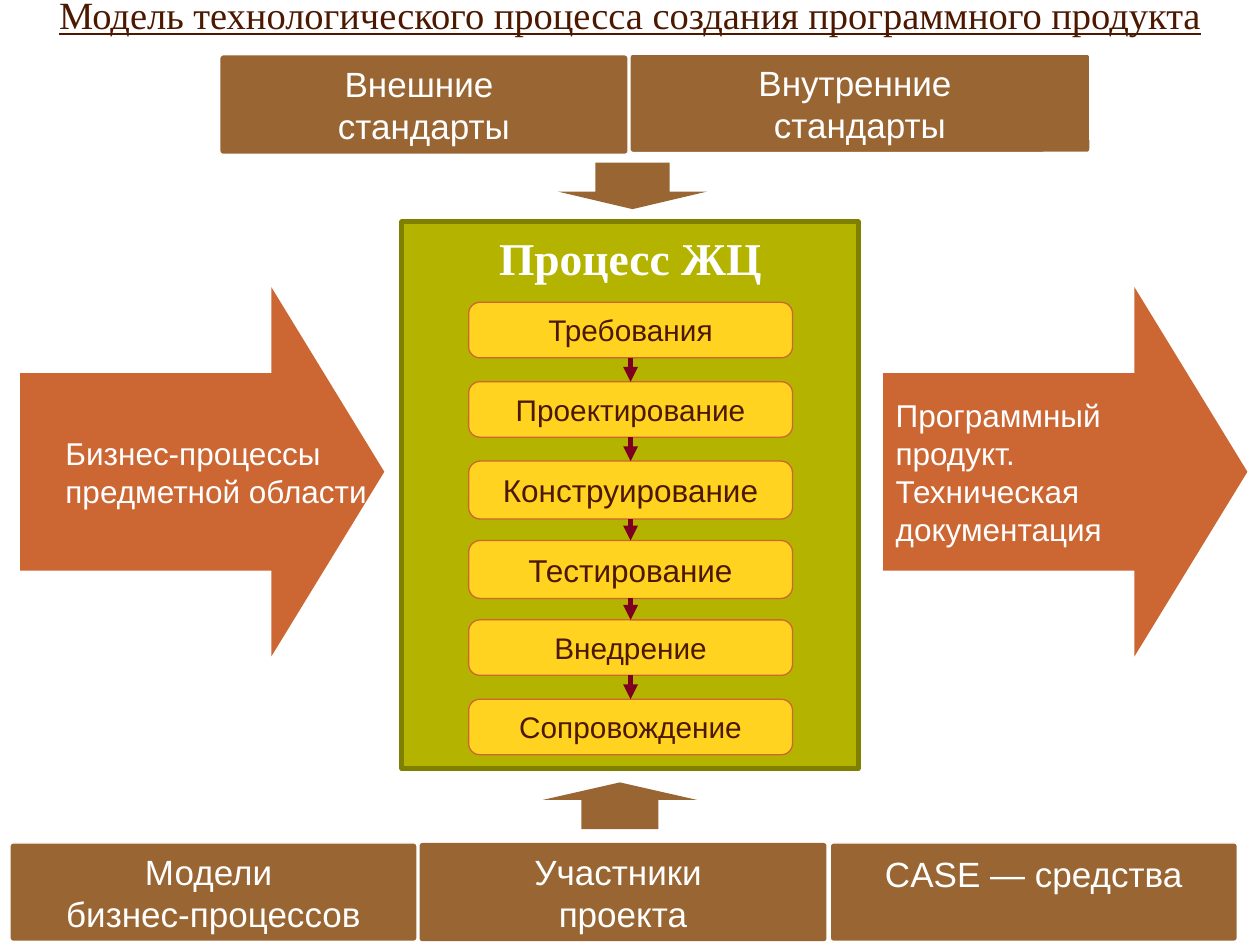
"""Builds the slide on the model of the software production process."""
import lxml.etree
import pptx
import pptx.dml.color
import pptx.enum.shapes
import pptx.enum.text
import pptx.oxml.ns
import pptx.util

colour = pptx.dml.color.RGBColor.from_string
Kind = pptx.enum.shapes.MSO_SHAPE
Align = pptx.enum.text.PP_ALIGN
Anchor = pptx.enum.text.MSO_ANCHOR
UNIT = pptx.util.Inches(0.1)
BROWN, ORANGE, WHITE, DARK = "996633", "CC6633", "FFFFFF", "4C1900"


def add_block(page, kind, place, fill=None, line=None, weight=0.75, adjust=()):
    """Add a preset shape; place is left, top, width, height on a 100 by 75 grid."""
    box = page.shapes.add_shape(kind, *[int(value * UNIT) for value in place])
    box.shadow.inherit = False
    for index, value in enumerate(adjust):
        box.adjustments[index] = value
    if fill:
        box.fill.solid()
        box.fill.fore_color.rgb = colour(fill)
    else:
        box.fill.background()
    if line:
        box.line.color.rgb = colour(line)
        box.line.width = pptx.util.Pt(weight)
    else:
        box.line.fill.background()
    return box


def write(box, paragraphs, size, ink, face="Arial", align=Align.CENTER, wrap=True):
    """Fill a shape with paragraphs, each one a list of lines."""
    frame = box.text_frame
    frame.word_wrap = wrap
    frame.vertical_anchor = Anchor.MIDDLE
    for index, lines in enumerate(paragraphs):
        para = frame.add_paragraph() if index else frame.paragraphs[0]
        para.alignment = align
        para.space_before = pptx.util.Pt(0)
        for number, line in enumerate(lines):
            if number:
                para.add_line_break()
            span = para.add_run()
            span.text = line
            span.font.name = face
            span.font.size = pptx.util.Pt(size)
            span.font.color.rgb = colour(ink)
    return frame


deck = pptx.Presentation()
deck.slide_width, deck.slide_height = 100 * UNIT, 75 * UNIT
page = deck.slides.add_slide(deck.slide_layouts[5])

title = page.shapes.title
title.left, title.top, title.width, title.height = 0, int(-1.2 * UNIT), 100 * UNIT, int(4.7 * UNIT)
title.fill.solid()
title.fill.fore_color.rgb = colour(WHITE)
heading = [["Модель технологического процесса создания программного продукта"]]
frame = write(title, heading, 22, DARK, "Times New Roman")
frame.auto_size = pptx.enum.text.MSO_AUTO_SIZE.NONE
frame.paragraphs[0].runs[0].font.underline = True

add_block(page, Kind.RECTANGLE, (31.9, 17.6, 36.2, 43.4), "B3B300", "808000", 2.83)
caption = add_block(page, Kind.ROUNDED_RECTANGLE, (37.2, 17.4, 25.7, 6.1), adjust=[0.2])
frame = write(caption, [["Процесс ЖЦ"]], 26, WHITE, "Times New Roman")
frame.paragraphs[0].runs[0].font.bold = True

stages = [
    ("Требования", 17, 4.4),
    ("Проектирование", 17, 4.4),
    ("Конструирование", 18, 4.6),
    ("Тестирование", 18, 4.6),
    ("Внедрение", 17, 4.4),
    ("Сопровождение", 17, 4.4),
]
previous = None
for row, (name, size, height) in enumerate(stages):
    stage = add_block(page, Kind.ROUNDED_RECTANGLE, (37.2, 24 + 6.3 * row, 25.7, height),
                      "FFD320", ORANGE, adjust=[0.2])
    write(stage, [[name]], size, DARK)
    if previous:
        link = page.shapes.add_connector(pptx.enum.shapes.MSO_CONNECTOR.STRAIGHT, 0, 0, 0, 0)
        link.begin_connect(previous, 2)
        link.end_connect(stage, 0)
        link.line.color.rgb = colour("7E0021")
        link.line.width = pptx.util.Pt(2.83)
        tail = lxml.etree.SubElement(link.line._get_or_add_ln(), pptx.oxml.ns.qn("a:tailEnd"))
        tail.set("type", "triangle")
        lxml.etree.SubElement(link._element.spPr, pptx.oxml.ns.qn("a:effectLst"))
    previous = stage

resources = [
    ((17.5, 4.4, 32.3, 7.8), None, ["Внешние ", "стандарты"]),
    ((50, 4.3, 36.5, 7.8), WHITE, ["Внутренние ", "стандарты"]),
    ((0.8, 66.9, 32.3, 7.8), WHITE, ["Модели ", "бизнес-процессов"]),
    ((33.3, 66.9, 32.3, 7.8), None, ["Участники ", "проекта"]),
    ((65.9, 66.9, 32.3, 7.8), WHITE, ["CASE — средства"]),
]
for place, line, lines in resources:
    box = add_block(page, Kind.ROUNDED_RECTANGLE, place, BROWN, line, adjust=[0.03])
    frame = write(box, [lines], 20, WHITE)
    if len(lines) == 1:
        frame.vertical_anchor = Anchor.TOP
        frame.margin_top = pptx.util.Inches(0.07)

for kind, place in [(Kind.UP_ARROW, (43.1, 62.1, 12.2, 3.7)),
                    (Kind.DOWN_ARROW, (44.3, 12.9, 11.8, 3.7))]:
    add_block(page, kind, place, BROWN, adjust=[0.5, 0.375])

flows = [
    (1.6, 0.36, ["Бизнес-процессы", "предметной области"]),
    (70.1, 0.1, ["Программный", "продукт.", "Техническая", "документация"]),
]
for left, inset, lines in flows:
    arrow = add_block(page, Kind.RIGHT_ARROW, (left, 22.8, 28.9, 29.3), ORANGE, adjust=[0.535, 0.31])
    frame = write(arrow, [[line] for line in lines], 18, WHITE, align=Align.LEFT, wrap=False)
    frame.margin_left = pptx.util.Inches(inset)

deck.save("out.pptx")
